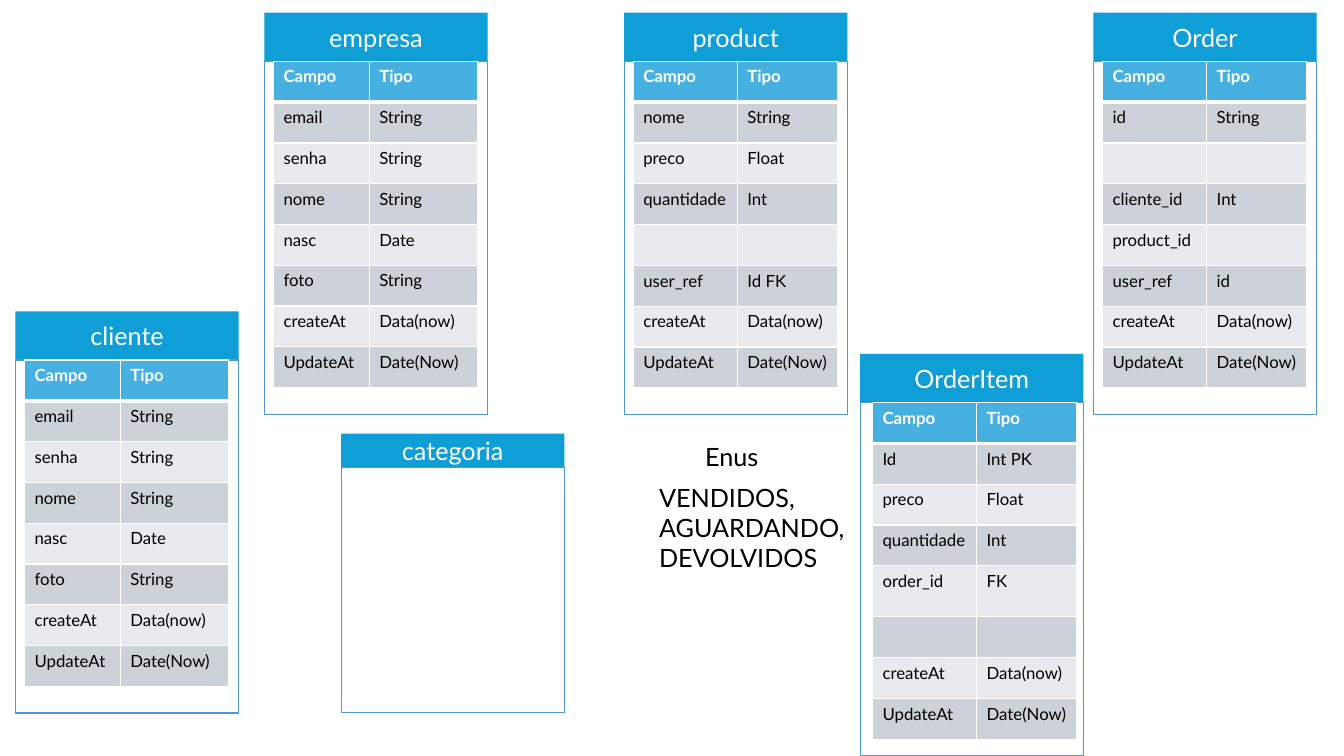
from dataclasses import dataclass

from lxml import etree
from pptx import Presentation
from pptx.dml.color import RGBColor
from pptx.enum.shapes import MSO_SHAPE
from pptx.enum.text import MSO_ANCHOR, MSO_AUTO_SIZE, PP_ALIGN
from pptx.oxml.ns import qn
from pptx.util import Pt

RECTANGLE = MSO_SHAPE.RECTANGLE
MIDDLE = MSO_ANCHOR.MIDDLE
CENTER = PP_ALIGN.CENTER
FIT_SHAPE = MSO_AUTO_SIZE.SHAPE_TO_FIT_TEXT


@dataclass(frozen=True)
class Theme:
    font: str = "Lato"
    title_size: float = 18
    cell_size: float = 12
    card_header: str = "0F9ED5"
    card_line: str = "4E95D9"
    table_header: str = "46B1E1"
    bands: tuple = ("CCD2D8", "E8EAED")
    light: str = "FFFFFF"
    dark: str = "000000"


@dataclass(frozen=True)
class Box:
    left: float
    top: float
    width: float
    height: float

    def lengths(self):
        return Pt(self.left), Pt(self.top), Pt(self.width), Pt(self.height)


THEME = Theme()
CARD_WIDTH, CARD_HEIGHT = 159.5, 287
HEADER_HEIGHT = 34.8
TABLE_WIDTH, ROW_HEIGHT = 146, 29.16
TALL_ROW = 36.4
PERSON_COLUMN, ITEM_COLUMN = 68.4, 74.4

HEADINGS = ("Campo", "Tipo")
TIMESTAMPS = [("createAt", "Data(now)"), ("UpdateAt", "Date(Now)")]
PERSON_FIELDS = [("email", "String"), ("senha", "String"), ("nome", "String"),
                 ("nasc", "Date"), ("foto", "String")]
PRODUCT_FIELDS = [("nome", "String"), ("preco", "Float"), ("quantidade", "Int"),
                  ("", ""), ("user_ref", "Id FK")]
ORDER_FIELDS = [("id", "String"), ("", ""), ("cliente_id", "Int"),
                ("product_id", ""), ("user_ref", "id")]
ORDER_ITEM_FIELDS = [("Id", "Int PK"), ("preco", "Float"), ("quantidade", "Int"),
                     ("order_id", "FK"), ("", "")]

ENTITIES = [
    ("empresa", 188.8, 9, 6.5, PERSON_COLUMN, PERSON_FIELDS, {}),
    ("product", 445.8, 9, 6.5, ITEM_COLUMN, PRODUCT_FIELDS, {}),
    ("Order", 781, 9, 6.5, ITEM_COLUMN, ORDER_FIELDS, {}),
    ("cliente", 11, 222.4, 6.5, PERSON_COLUMN, PERSON_FIELDS, {}),
    ("OrderItem", 614.4, 252.8, 8.8, ITEM_COLUMN, ORDER_ITEM_FIELDS, {4: TALL_ROW}),
]


def add_span(para, text, size, color, bold=False):
    span = para.add_run()
    span.text = text
    span.font.name = THEME.font
    span.font.size = Pt(size)
    span.font.bold = bold
    span.font.color.rgb = RGBColor.from_string(color)


def add_card(page, box, title, header_height):
    group = page.shapes.add_group_shape()
    header_box = Box(box.left, box.top, box.width, header_height)
    header = group.shapes.add_shape(RECTANGLE, *header_box.lengths())
    header.shadow.inherit = False
    header.fill.solid()
    header.fill.fore_color.rgb = RGBColor.from_string(THEME.card_header)
    header.line.fill.background()
    header.text_frame.vertical_anchor = MIDDLE
    para = header.text_frame.paragraphs[0]
    para.alignment = CENTER
    add_span(para, title, THEME.title_size, THEME.light)

    frame_box = Box(box.left + 0.3, box.top + header_height,
                    box.width - 0.3, box.height - header_height)
    frame = group.shapes.add_shape(RECTANGLE, *frame_box.lengths())
    frame.shadow.inherit = False
    frame.fill.background()
    frame.line.color.rgb = RGBColor.from_string(THEME.card_line)
    frame.line.width = Pt(1)


def set_borders(cell, is_header, below_header):
    properties = cell._tc.get_or_add_tcPr()
    widths = {"a:lnL": 1, "a:lnR": 1, "a:lnT": 3 if below_header else 1,
              "a:lnB": 3 if is_header else 1}
    for tag, width in widths.items():
        line = etree.SubElement(properties, qn(tag), w=str(Pt(width)))
        fill = etree.SubElement(line, qn("a:solidFill"))
        etree.SubElement(fill, qn("a:srgbClr"), val=THEME.light)


def add_field_table(page, box, first_column, rows, row_heights):
    table = page.shapes.add_table(len(rows), 2, *box.lengths()).table
    table.columns[0].width = Pt(first_column)
    table.columns[1].width = Pt(box.width - first_column)
    for index, values in enumerate(rows):
        is_header = index == 0
        table.rows[index].height = Pt(row_heights.get(index, ROW_HEIGHT))
        band = THEME.table_header if is_header else THEME.bands[(index - 1) % 2]
        for column, text in enumerate(values):
            cell = table.cell(index, column)
            set_borders(cell, is_header, index == 1)
            cell.fill.solid()
            cell.fill.fore_color.rgb = RGBColor.from_string(band)
            if text:
                color = THEME.light if is_header else THEME.dark
                add_span(cell.text_frame.paragraphs[0], text, THEME.cell_size,
                         color, is_header)


def add_entity(page, box, title, inset, first_column, fields, row_heights):
    add_card(page, box, title, HEADER_HEIGHT)
    rows = [HEADINGS] + fields + TIMESTAMPS
    height = sum(row_heights.get(index, ROW_HEIGHT) for index in range(len(rows)))
    table_box = Box(box.left + inset, box.top + HEADER_HEIGHT, TABLE_WIDTH, height)
    add_field_table(page, table_box, first_column, rows, row_heights)


def add_label(page, box, lines, wrap):
    label = page.shapes.add_textbox(*box.lengths())
    label.text_frame.word_wrap = wrap
    label.text_frame.auto_size = FIT_SHAPE
    for index, text in enumerate(lines):
        paras = label.text_frame
        para = paras.add_paragraph() if index else paras.paragraphs[0]
        add_span(para, text, THEME.title_size, THEME.dark)


def add_enum_list(page, box):
    add_label(page, Box(box.left + 33, box.top, 53.3, 29), ["Enus"], False)
    add_label(page, Box(box.left, box.top + 29, box.width, box.height - 29),
              ["VENDIDOS,", "AGUARDANDO,", "DEVOLVIDOS"], True)


def main():
    deck = Presentation()
    deck.slide_width, deck.slide_height = Pt(960), Pt(540)
    page = deck.slides.add_slide(deck.slide_layouts[6])
    for title, left, top, inset, first_column, fields, row_heights in ENTITIES:
        box = Box(left, top, CARD_WIDTH, CARD_HEIGHT)
        add_entity(page, box, title, inset, first_column, fields, row_heights)
    add_enum_list(page, Box(463.7, 311.8, 149, 101.7))
    add_card(page, Box(243.6, 309.8, CARD_WIDTH, 199.2), "categoria", 24)
    deck.save("out.pptx")


if __name__ == "__main__":
    main()
